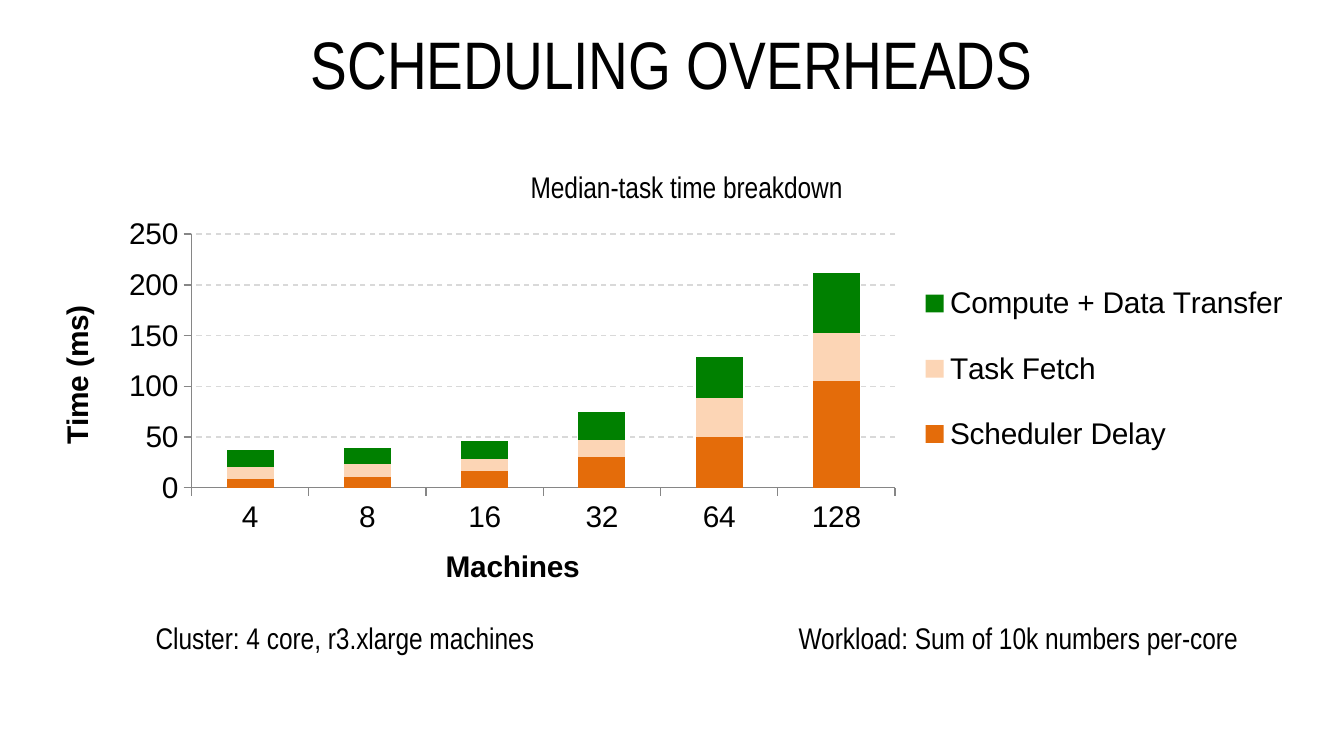
"""Build a slide showing how scheduling overheads grow with cluster size."""
from dataclasses import dataclass
from typing import NamedTuple, Optional

from lxml.etree import SubElement
from pptx import Presentation
from pptx.chart.data import CategoryChartData
from pptx.dml.color import RGBColor
from pptx.enum.chart import XL_CHART_TYPE as ChartType, XL_LEGEND_POSITION as LegendPosition
from pptx.enum.chart import XL_TICK_MARK as TickMark
from pptx.enum.dml import MSO_LINE_DASH_STYLE as Dash
from pptx.enum.text import MSO_ANCHOR as Anchor, MSO_AUTO_SIZE as AutoSize, PP_ALIGN as Align
from pptx.oxml.ns import qn
from pptx.util import Inches, Pt

CELL = Inches(0.1)
COLUMNS, ROWS = 100, 56.25


@dataclass(frozen=True)
class Theme:
    """Colours, fonts and type sizes of the slide."""
    ink: str = "000000"
    paper: str = "FFFFFF"
    axis: str = "868686"
    grid: str = "D9D9D9"
    text_font: str = "Arial Narrow"
    chart_font: str = "Arial"
    title_size: int = 36
    body_size: int = 16


class Area(NamedTuple):
    """A block of grid cells."""
    column: float
    row: float
    columns: float
    rows: float

    def lengths(self) -> list[int]:
        """Return left, top, width and height."""
        return [round(cells * CELL) for cells in self]


class Label(NamedTuple):
    """A one-line caption and its place."""
    text: str
    area: Area
    align: Align = Align.LEFT


class Part(NamedTuple):
    """One stacked share of the task time."""
    name: str
    color: str
    times: tuple[int, ...]


class Percent(NamedTuple):
    """A place inside the chart, in percent of its size."""
    x: float
    y: float
    w: Optional[float] = None
    h: Optional[float] = None


THEME = Theme()
TITLE_AREA = Area(5, 0, 90, 9.3)
CHART_AREA = Area(2.2, 15.6, 95.2, 30)
LABELS = (
    Label("Cluster: 4 core, r3.xlarge machines", Area(10.6, 45.65, 30.3, 3.7)),
    Label("Workload: Sum of 10k numbers per-core", Area(58.44, 45.6, 34.9, 3.7)),
    Label("Median-task time breakdown", Area(38.3, 12.04, 25.6, 3.7), Align.CENTER),
)
MACHINES = ("4", "8", "16", "32", "64", "128")
PARTS = (
    Part("Scheduler Delay", "E46C0A", (9, 11, 16, 30, 50, 105)),
    Part("Task Fetch", "FCD5B5", (11, 12, 12, 17, 38, 48)),
    Part("Compute + Data Transfer", "008000", (17, 16, 18, 28, 41, 59)),
)


def color(value: str) -> RGBColor:
    """Turn a hex value into a colour."""
    return RGBColor.from_string(value)


def style_font(font, *, name: str, size: int, bold: bool = False) -> None:
    """Apply the theme's ink with the given face and size."""
    font.name, font.size, font.bold = name, Pt(size), bold
    font.color.rgb = color(THEME.ink)


def write(frame, text: str, *, font: str = THEME.text_font, size: int = THEME.body_size,
          align: Align = Align.LEFT, bold: bool = False) -> None:
    """Put one formatted paragraph in a text frame."""
    para = frame.paragraphs[0]
    para.alignment = align
    span = para.add_run()
    span.text = text
    style_font(span.font, name=font, size=size, bold=bold)


def add_title(page, text: str) -> None:
    """Place and fill the title placeholder."""
    title = page.shapes.title
    title.left, title.top, title.width, title.height = TITLE_AREA.lengths()
    title.text_frame.vertical_anchor = Anchor.MIDDLE
    write(title.text_frame, text, size=THEME.title_size, align=Align.CENTER)


def add_label(page, label: Label) -> None:
    """Add a caption that does not wrap."""
    frame = page.shapes.add_textbox(*label.area.lengths()).text_frame
    frame.word_wrap = False
    frame.auto_size = AutoSize.SHAPE_TO_FIT_TEXT
    write(frame, label.text, align=label.align)


def set_layout(element, place: Percent, index: int, inner: bool = False) -> None:
    """Fix the place of a chart element."""
    for old in element.findall(qn("c:layout")):
        element.remove(old)
    layout = SubElement(element, qn("c:layout"))
    element.insert(index, layout)
    manual = SubElement(layout, qn("c:manualLayout"))
    settings = {"layoutTarget": "inner"} if inner else {}
    settings |= {"xMode": "edge", "yMode": "edge"}
    settings |= {key: str(value / 100) for key, value in place._asdict().items()
                 if value is not None}
    for key, value in settings.items():
        SubElement(manual, qn(f"c:{key}")).set("val", value)


def style_axis(axis, title: str, place: Percent) -> None:
    """Give an axis its title, ticks and line."""
    write(axis.axis_title.text_frame, title, font=THEME.chart_font, align=Align.CENTER, bold=True)
    set_layout(axis.axis_title._element, place, 1)
    axis.major_tick_mark, axis.minor_tick_mark = TickMark.OUTSIDE, TickMark.NONE
    axis.format.line.color.rgb = color(THEME.axis)
    axis.format.line.width = Pt(0.75)


def add_breakdown(page) -> None:
    """Add the stacked chart of task times."""
    data = CategoryChartData()
    data.categories = MACHINES
    for part in PARTS:
        data.add_series(part.name, part.times)
    chart = page.shapes.add_chart(ChartType.COLUMN_STACKED, *CHART_AREA.lengths(), data).chart
    style_font(chart.font, name=THEME.chart_font, size=THEME.body_size)
    chart.has_title = False

    plot = chart.plots[0]
    plot.gap_width, plot.overlap, plot.vary_by_categories = 150, 100, False
    for series, part in zip(plot.series, PARTS):
        series.format.fill.solid()
        series.format.fill.fore_color.rgb = color(part.color)

    style_axis(chart.category_axis, "Machines", Percent(32.1, 82.3))
    values = chart.value_axis
    style_axis(values, "Time (ms)", Percent(1.8, 22.5))
    values.minimum_scale, values.maximum_scale, values.major_unit = 0, 250, 50
    grid_line = values.major_gridlines.format.line
    grid_line.color.rgb = color(THEME.grid)
    grid_line.width, grid_line.dash_style = Pt(0.75), Dash.DASH

    chart.has_legend = True
    chart.legend.position = LegendPosition.RIGHT
    chart.legend.include_in_layout = False
    set_layout(chart.legend._element, Percent(69, 11.1, 30, 56.8), 1)
    set_layout(chart._chartSpace.chart.plotArea, Percent(12.65, 6.1, 55, 62.9), 0, inner=True)


def main() -> None:
    """Build and save the deck."""
    deck = Presentation()
    deck.slide_width, deck.slide_height = round(COLUMNS * CELL), round(ROWS * CELL)
    page = deck.slides.add_slide(deck.slide_layouts[5])
    page.background.fill.solid()
    page.background.fill.fore_color.rgb = color(THEME.paper)
    add_title(page, "SCHEDULING OVERHEADS")
    for label in LABELS:
        add_label(page, label)
    add_breakdown(page)
    deck.save("out.pptx")


if __name__ == "__main__":
    main()
